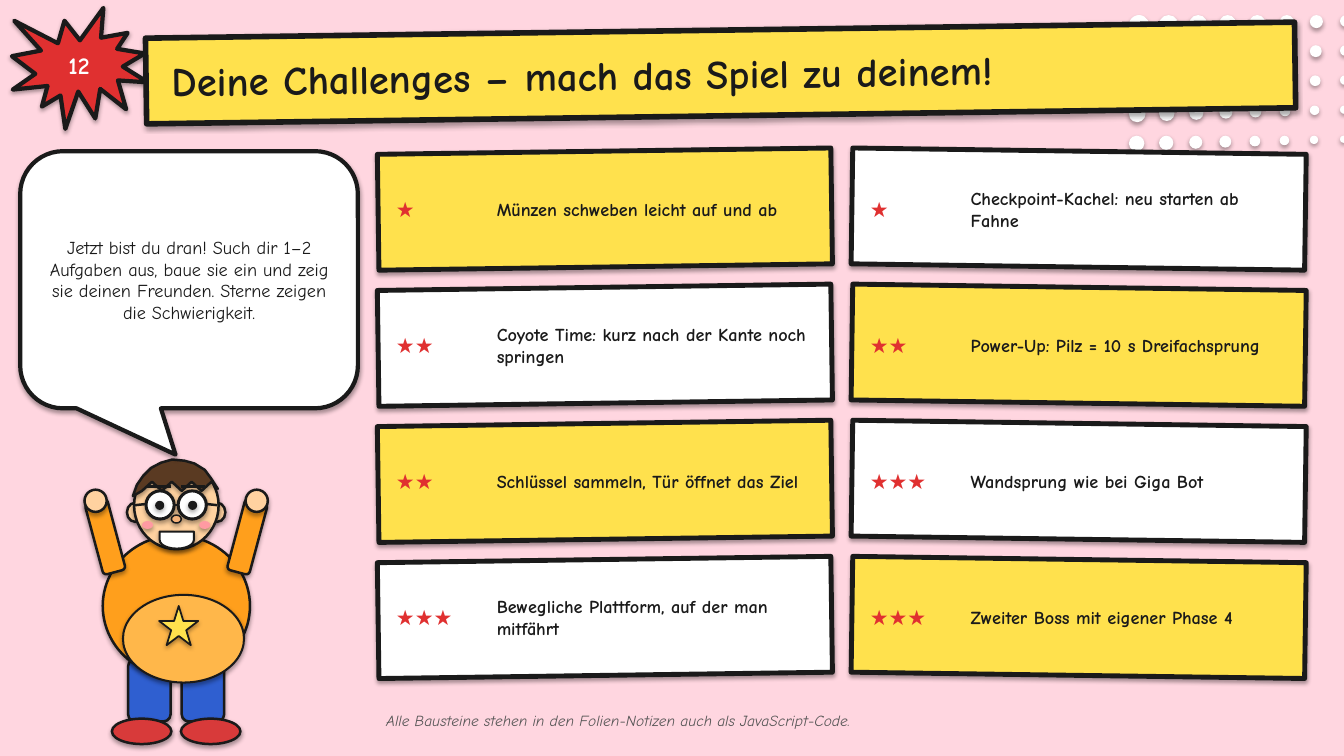
import pptx
import pptx.dml.color
import pptx.enum.shapes
import pptx.enum.text
import pptx.oxml
import pptx.oxml.ns
import pptx.util

Cm = pptx.util.Cm
Pt = pptx.util.Pt
RGBColor = pptx.dml.color.RGBColor
MSO = pptx.enum.shapes.MSO_SHAPE
PP_ALIGN = pptx.enum.text.PP_ALIGN
MSO_AUTO_SIZE = pptx.enum.text.MSO_AUTO_SIZE

PINK = RGBColor(0xFF, 0xD6, 0xE0)
WHITE = RGBColor(0xFF, 0xFF, 0xFF)
INK = RGBColor(0x1A, 0x1A, 0x1A)
GREY = RGBColor(0x55, 0x55, 0x55)
RED = RGBColor(0xE0, 0x30, 0x30)
YELLOW = RGBColor(0xFF, 0xE1, 0x4D)
TROUSERS = RGBColor(0x2F, 0x5F, 0xD0)
SHOES = RGBColor(0xD8, 0x3A, 0x3A)
SHIRT = RGBColor(0xFF, 0x9F, 0x1C)
BELLY = RGBColor(0xFF, 0xB7, 0x4A)
SKIN = RGBColor(0xFF, 0xD2, 0xA0)
HAIR = RGBColor(0x5A, 0x3A, 0x22)
NOSE = RGBColor(0xF5, 0xB2, 0x7A)
CHEEK = RGBColor(0xFF, 0x9A, 0xA2)

FONT = "Comic Neue"
MIRROR = 8.88  # twice the x of the boy's middle axis, in cm
LINE_CHARS = 38  # characters that fit on one line of a card
THIN = 1.79
SHADOW = (
    f'<a:effectLst {pptx.oxml.ns.nsdecls("a")}>'
    '<a:outerShdw blurRad="40000" dist="23000" dir="5400000" rotWithShape="0">'
    '<a:srgbClr val="000000"><a:alpha val="35000"/></a:srgbClr>'
    "</a:outerShdw></a:effectLst>"
)

# kind, x, y, width, height, fill, line width, rotation, paired
BODY = [
    (MSO.ROUNDED_RECTANGLE, 3.23, 16.61, 1.07, 1.57, TROUSERS, THIN, 0, True),
    (MSO.OVAL, 2.82, 18.11, 1.5, 0.64, SHOES, THIN, 0, True),
    (MSO.OVAL, 2.59, 13.49, 3.71, 3.56, SHIRT, THIN),
    (MSO.OVAL, 3.1, 14.99, 3.05, 2.21, BELLY, 1.45),
    (MSO.STAR_5_POINT, 4.01, 15.27, 0.99, 0.99, YELLOW, 1.25),
    (MSO.ROUNDED_RECTANGLE, 2.36, 12.6, 0.58, 1.85, SHIRT, THIN, 165, True),
    (MSO.OVAL, 2.13, 12.34, 0.56, 0.56, SKIN, THIN, 0, True),
    (MSO.OVAL, 3.2, 12.67, 0.41, 0.48, SKIN, THIN, 0, True),
    (MSO.OVAL, 3.38, 11.63, 2.13, 2.21, SKIN, THIN),
]
FACE = [
    (MSO.OVAL, 3.68, 12.37, 0.71, 0.71, WHITE, 2.15, 0, True),
    (MSO.OVAL, 3.91, 12.62, 0.23, 0.23, INK, 0, 0, True),
    (MSO.OVAL, 4.32, 12.98, 0.25, 0.2, NOSE, 1.08),
    (MSO.OVAL, 3.58, 13.13, 0.28, 0.2, CHEEK, 0, 0, True),
    (MSO.FLOWCHART_DELAY, 4.24, 13.18, 0.43, 0.86, WHITE, 1.45, 90),
]
CROWN = [
    (3.35, 12.5), (3.45, 12.22), (3.61, 11.99), (3.81, 11.79), (4.06, 11.66),
    (4.34, 11.58), (4.65, 11.61), (4.9, 11.68), (5.16, 11.84), (5.33, 12.07),
    (5.49, 12.32),
]
FRINGE = [(5.33 - 0.25 * i, 12.37 if i % 2 else 12.14) for i in range(8)]
# x1, y1, x2, y2, line width
TEMPLE = (3.68, 12.7, 3.4, 12.73, THIN)
BROW = (4.32, 12.27, 3.71, 12.27, 2.15)
BRIDGE = (4.37, 12.73, 4.52, 12.73, THIN)

TASKS = [
    (1, "Münzen schweben leicht auf und ab"),
    (1, "Checkpoint-Kachel: neu starten ab Fahne"),
    (2, "Coyote Time: kurz nach der Kante noch springen"),
    (2, "Power-Up: Pilz = 10 s Dreifachsprung"),
    (2, "Schlüssel sammeln, Tür öffnet das Ziel"),
    (3, "Wandsprung wie bei Giga Bot"),
    (3, "Bewegliche Plattform, auf der man mitfährt"),
    (3, "Zweiter Boss mit eigener Phase 4"),
]

prs = pptx.Presentation()
prs.slide_width, prs.slide_height = Cm(33.87), Cm(19.05)
s = prs.slides.add_slide(prs.slide_layouts[5])
s.background.fill.solid()
s.background.fill.fore_color.rgb = PINK


def draw(kind, x, y, w, h, fill, line_pt=0, rot=0, paired=False):
    """Add a shape, and its mirror image across the boy's axis if paired."""
    places = [(x, rot), (MIRROR - x - w, -rot)] if paired else [(x, rot)]
    for left, turn in places:
        sp = s.shapes.add_shape(kind, Cm(left), Cm(y), Cm(w), Cm(h))
        sp.rotation = turn
        sp.fill.solid()
        sp.fill.fore_color.rgb = fill
        if line_pt:
            sp.line.color.rgb = INK
            sp.line.width = Pt(line_pt)
        else:
            sp.line.fill.background()
    return sp


def write(sp, text, size, color, align=PP_ALIGN.LEFT, inset=0.2,
          fit=MSO_AUTO_SIZE.NONE, bold=False, italic=False):
    frame = {
        "word_wrap": True, "auto_size": fit,
        "vertical_anchor": pptx.enum.text.MSO_ANCHOR.MIDDLE,
        "margin_left": Cm(inset), "margin_right": Cm(inset),
        "margin_top": Cm(0.1), "margin_bottom": Cm(0.1),
    }
    tf = sp.text_frame
    for name, value in frame.items():
        setattr(tf, name, value)
    p = tf.paragraphs[0]
    p.alignment = align
    r = p.add_run()
    r.text = text
    font = {"name": FONT, "size": Pt(size), "bold": bold, "italic": italic}
    for name, value in font.items():
        setattr(r.font, name, value)
    r.font.color.rgb = color


# Dots that shrink towards the lower right
for row in range(5):
    for col in range(8):
        size = 0.51 - 0.03 * (row + col)
        draw(MSO.OVAL, 28.45 + 0.76 * col, 0.38 + 0.76 * row, size, size, WHITE)

# Number and title
burst = draw(MSO.EXPLOSION1, 0.3, 0.2, 3.43, 3.05, RED, 3)
write(burst, "12", 17, WHITE, PP_ALIGN.CENTER, 0, bold=True)

title = s.shapes.title
s.shapes._spTree.append(title._element)
title.left, title.top, title.width, title.height = Cm(3.68), Cm(0.76), Cm(28.96), Cm(2.16)
title.rotation = -0.8
title.fill.solid()
title.fill.fore_color.rgb = YELLOW
title.line.color.rgb = INK
title.line.width = Pt(4)
title._element.spPr.append(pptx.oxml.parse_xml(SHADOW))
write(title, "Deine Challenges – mach das Spiel zu deinem!", 29, INK, inset=0.64, bold=True)

# Boy
for part in BODY:
    draw(*part)

outline = [(Cm(x), Cm(y)) for x, y in CROWN + FRINGE]
builder = s.shapes.build_freeform(*outline[0])
builder.add_line_segments(outline[1:], close=True)
hair = builder.convert_to_shape()
hair.fill.solid()
hair.fill.fore_color.rgb = HAIR
hair.line.color.rgb = INK
hair.line.width = Pt(THIN)

for part in FACE:
    draw(*part)

mirrored = [(MIRROR - x1, y1, MIRROR - x2, y2, w) for x1, y1, x2, y2, w in (TEMPLE, BROW)]
for x1, y1, x2, y2, weight in [TEMPLE, BROW, BRIDGE] + mirrored:
    line = s.shapes.add_connector(
        pptx.enum.shapes.MSO_CONNECTOR.STRAIGHT, Cm(x1), Cm(y1), Cm(x2), Cm(y2))
    line.line.color.rgb = INK
    line.line.width = Pt(weight)
    line._element.spPr.append(pptx.oxml.parse_xml(
        f'<a:effectLst {pptx.oxml.ns.nsdecls("a")}/>'))

bubble = draw(MSO.ROUNDED_RECTANGULAR_CALLOUT, 0.51, 3.81, 8.51, 6.48, WHITE, 3)
bubble.adjustments[0], bubble.adjustments[1] = -0.04, 0.68
write(bubble, "Jetzt bist du dran! Such dir 1–2 Aufgaben aus, baue sie ein und zeig "
      "sie deinen Freunden. Sterne zeigen die Schwierigkeit.",
      13, INK, PP_ALIGN.CENTER, 0.3)

# Challenge cards
for i, (stars, task) in enumerate(TASKS):
    row, col = divmod(i, 2)
    x, y = 9.53 + 11.94 * col, 3.81 + 3.43 * row
    fill = WHITE if (row + col) % 2 else YELLOW
    draw(MSO.RECTANGLE, x, y, 11.43, 2.92, fill, 3.5, 0.8 if col else -0.8)
    task_height = 1.3 if len(task) > LINE_CHARS else 0.76
    for text, dx, w, h, size, color in [
        ("★" * stars, 0.25, 2.54, 0.84, 15, RED),
        (task, 2.79, 8.38, task_height, 13, INK),
    ]:
        box = s.shapes.add_textbox(Cm(x + dx), Cm(y + (2.92 - h) / 2), Cm(w), Cm(h))
        write(box, text, size, color, fit=MSO_AUTO_SIZE.SHAPE_TO_FIT_TEXT, bold=True)

hint = s.shapes.add_textbox(Cm(9.53), Cm(17.83), Cm(23.62), Cm(0.66))
write(hint, "Alle Bausteine stehen in den Folien-Notizen auch als JavaScript-Code.",
      11, GREY, fit=MSO_AUTO_SIZE.SHAPE_TO_FIT_TEXT, italic=True)

prs.save("out.pptx")
